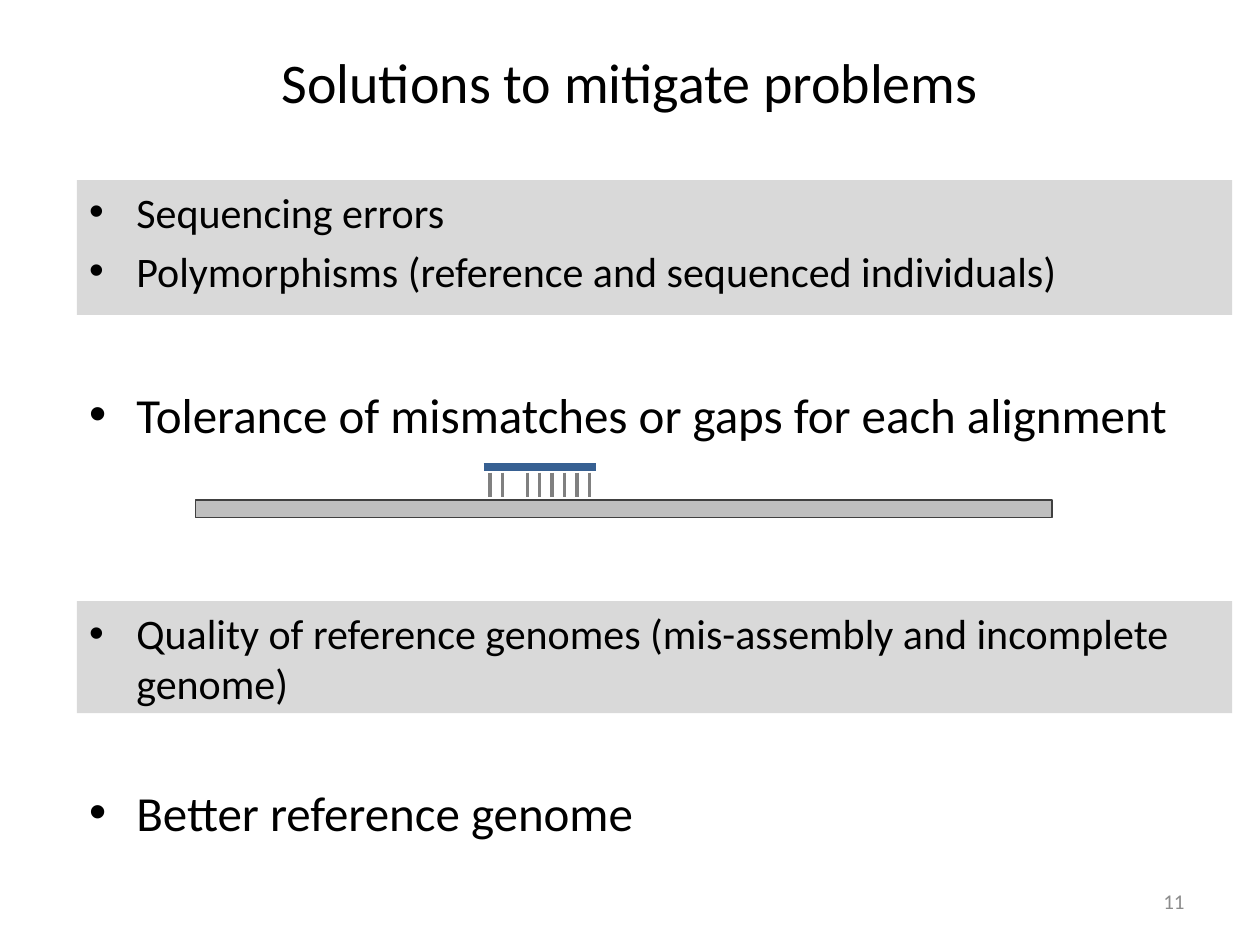
"""Build the slide on solutions to mitigate read alignment problems."""
from lxml import etree
from pptx import Presentation
from pptx.dml.color import RGBColor
from pptx.enum.shapes import MSO_CONNECTOR, MSO_SHAPE
from pptx.enum.text import MSO_ANCHOR, PP_ALIGN
from pptx.oxml.ns import qn
from pptx.util import Cm, Pt

RECTANGLE = MSO_SHAPE.RECTANGLE
STRAIGHT = MSO_CONNECTOR.STRAIGHT
TOP, MIDDLE = MSO_ANCHOR.TOP, MSO_ANCHOR.MIDDLE
LEFT, CENTER, RIGHT = PP_ALIGN.LEFT, PP_ALIGN.CENTER, PP_ALIGN.RIGHT
FONT = "Calibri"
COLORS = {
    "text": "000000",
    "number": "8C8C8C",
    "panel": "D9D9D9",
    "match": "808080",
    "read": "376092",
    "genome": "BFBFBF",
    "genome_edge": "404040",
}
TEXT_LEFT = 1.55
PANEL_WIDTH = 23.29
MATCH_START, MATCH_STEP = 9.88, 0.25
MATCHED_BASES = (0, 1, 3, 4, 5, 6, 7, 8)


def color(name):
    return RGBColor.from_string(COLORS[name])


def add_bullet(para):
    properties = para._p.get_or_add_pPr()
    properties.set("marL", str(Cm(0.95)))
    properties.set("indent", str(-Cm(0.95)))
    etree.SubElement(properties, qn("a:buFont")).set("typeface", "Arial")
    etree.SubElement(properties, qn("a:buChar")).set("char", "•")


def write(box, lines, size, name="text", align=LEFT, anchor=TOP, bullets=False):
    frame = box.text_frame
    frame.word_wrap = True
    frame.vertical_anchor = anchor
    for index, line in enumerate(lines):
        para = frame.add_paragraph() if index else frame.paragraphs[0]
        para.alignment = align
        if bullets:
            add_bullet(para)
        if index:
            para.space_before = Pt(0.2 * size)
        span = para.add_run()
        span.text = line
        span.font.name = FONT
        span.font.size = Pt(size)
        span.font.color.rgb = color(name)


def add_text(page, left, top, width, height, line, size, **style):
    box = page.shapes.add_textbox(Cm(left), Cm(top), Cm(width), Cm(height))
    write(box, [line], size, **style)


def add_bar(page, left, top, width, height, fill, edge=None):
    bar = page.shapes.add_shape(RECTANGLE, Cm(left), Cm(top), Cm(width), Cm(height))
    bar.shadow.inherit = False
    bar.fill.solid()
    bar.fill.fore_color.rgb = color(fill)
    if edge:
        bar.line.color.rgb = color(edge)
        bar.line.width = Pt(0.75)
    else:
        bar.line.fill.background()
    return bar


def add_problems(page, top, height, lines):
    panel = add_bar(page, TEXT_LEFT, top, PANEL_WIDTH, height, "panel")
    write(panel, lines, 24, bullets=True)


def add_line(page, x1, y1, x2, y2, name, width):
    line = page.shapes.add_connector(STRAIGHT, Cm(x1), Cm(y1), Cm(x2), Cm(y2))
    line.line.color.rgb = color(name)
    line.line.width = Pt(width)
    etree.SubElement(line._element.spPr, qn("a:effectLst"))


def add_alignment(page):
    for base in MATCHED_BASES:
        x = MATCH_START + base * MATCH_STEP
        add_line(page, x, 9.53, x, 10.01, "match", 2)
    add_line(page, 9.75, 9.42, 12.01, 9.42, "read", 4.5)
    add_bar(page, 3.94, 10.08, 17.27, 0.36, "genome", "genome_edge")


def main():
    deck = Presentation()
    deck.slide_width, deck.slide_height = Cm(25.4), Cm(19.05)
    page = deck.slides.add_slide(deck.slide_layouts[6])
    add_text(page, 1.27, 0.76, 22.86, 1.75, "Solutions to mitigate problems", 32,
             align=CENTER, anchor=MIDDLE)
    add_problems(page, 3.63, 2.72, [
        "Sequencing errors",
        "Polymorphisms (reference and sequenced individuals)",
    ])
    add_text(page, TEXT_LEFT, 7.62, 22.33, 1.57,
             "Tolerance of mismatches or gaps for each alignment", 28, bullets=True)
    add_alignment(page)
    add_problems(page, 12.12, 2.26, [
        "Quality of reference genomes (mis-assembly and incomplete genome)",
    ])
    add_text(page, TEXT_LEFT, 15.65, 19.53, 1.57, "Better reference genome", 28,
             bullets=True)
    add_text(page, 18.21, 17.65, 5.92, 1.02, "11", 12, name="number",
             align=RIGHT, anchor=MIDDLE)
    deck.save("out.pptx")


if __name__ == "__main__":
    main()
